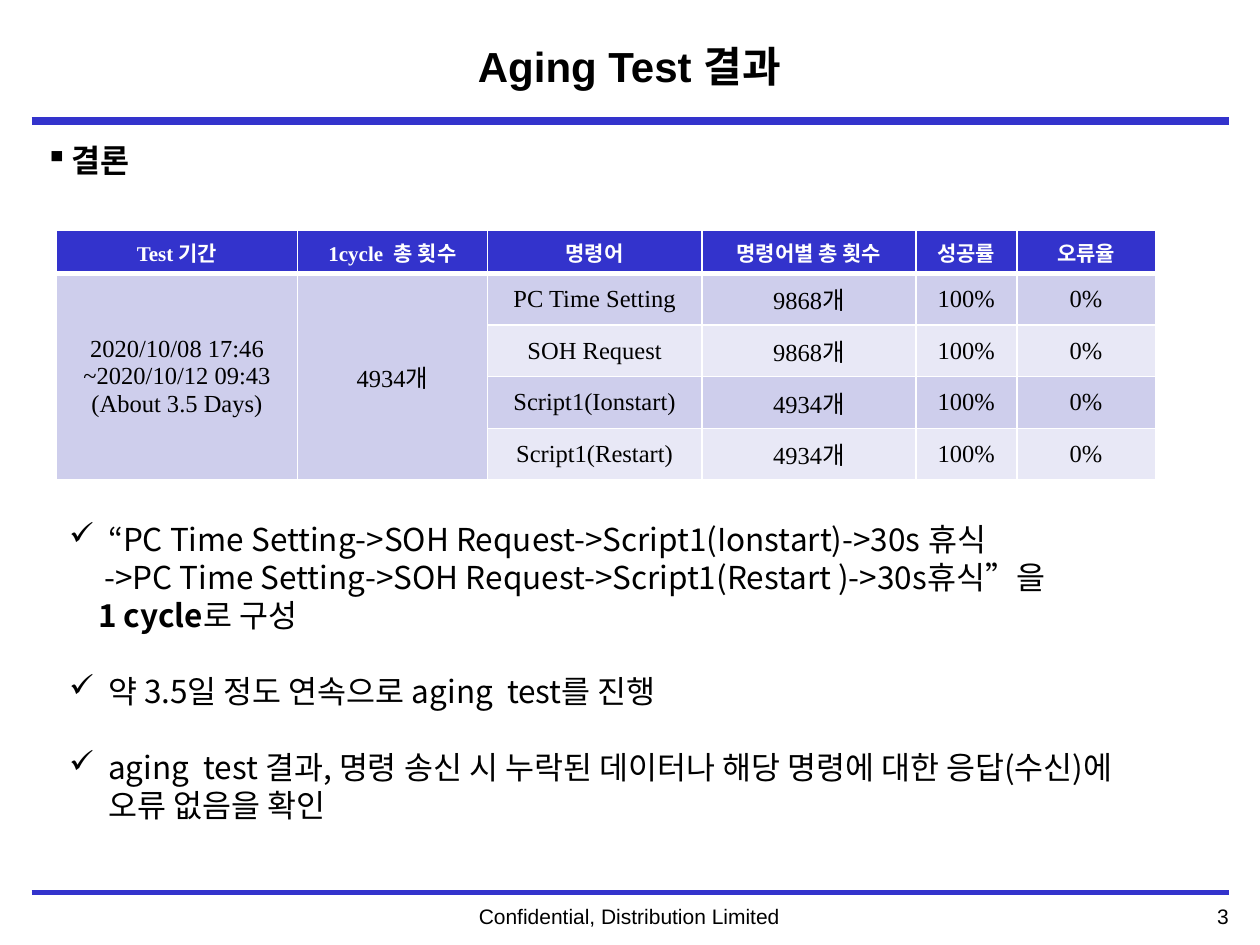
from lxml import etree
from pptx import Presentation
from pptx.dml.color import RGBColor
from pptx.enum.shapes import MSO_CONNECTOR
from pptx.enum.text import MSO_ANCHOR, PP_ALIGN
from pptx.oxml.ns import qn
from pptx.util import Inches, Pt

LEFT, CENTER, RIGHT = PP_ALIGN.LEFT, PP_ALIGN.CENTER, PP_ALIGN.RIGHT
TOP, MIDDLE = MSO_ANCHOR.TOP, MSO_ANCHOR.MIDDLE
STRAIGHT = MSO_CONNECTOR.STRAIGHT


def color(hex_code):
    return RGBColor.from_string(hex_code)


def write(paragraph, text, size=18, font="Arial", ink="000000", bold=False,
          align=LEFT, east_asian="Noto Sans CJK KR"):
    run = paragraph.add_run()
    run.text = text
    run.font.size = Pt(size)
    run.font.name = font
    run.font.bold = bold
    run.font.color.rgb = color(ink)
    etree.SubElement(run.font._element, qn("a:ea"), typeface=east_asian)
    paragraph.alignment = align


def indent(paragraph, margin, bullet=None):
    """Set the left margin; a bullet hangs in that margin."""
    properties = paragraph._p.get_or_add_pPr()
    properties.set("marL", str(Inches(margin)))
    properties.set("indent", str(Inches(-margin if bullet else 0)))
    if bullet:
        etree.SubElement(properties, qn("a:buChar"), char=bullet)


def set_borders(cell, bottom):
    """Draw white borders, 1 pt except for the bottom one."""
    properties = cell._tc.get_or_add_tcPr()
    widths = {"lnL": 1, "lnR": 1, "lnT": 1, "lnB": bottom}
    for position, (side, width) in enumerate(widths.items()):
        border = etree.Element(qn(f"a:{side}"), w=str(Pt(width)))
        fill = etree.SubElement(border, qn("a:solidFill"))
        etree.SubElement(fill, qn("a:srgbClr"), val="FFFFFF")
        properties.insert(position, border)


class ReportSlide:
    accent = "3333CC"
    bands = ("CECEEC", "E8E8F6")
    table_font = "Times New Roman"

    def __init__(self, slide):
        self.slide = slide

    def rule(self, y, width):
        line = self.slide.shapes.add_connector(
            STRAIGHT, Inches(0.25), Inches(y), Inches(9.75), Inches(y))
        line.line.color.rgb = color(self.accent)
        line.line.width = Pt(width)
        etree.SubElement(line._element.spPr, qn("a:effectLst"))

    def text_frame(self, left, top, width, height, anchor=TOP):
        box = self.slide.shapes.add_textbox(
            Inches(left), Inches(top), Inches(width), Inches(height))
        box.text_frame.word_wrap = True
        box.text_frame.vertical_anchor = anchor
        return box.text_frame

    def label(self, text, *place, anchor=TOP, bullet=None, **style):
        paragraph = self.text_frame(*place, anchor=anchor).paragraphs[0]
        if bullet:
            indent(paragraph, 0.21, bullet)
        write(paragraph, text, **style)

    def cell(self, cell, text, fill, bottom=1, **style):
        cell.fill.solid()
        cell.fill.fore_color.rgb = color(fill)
        cell.vertical_anchor = MIDDLE
        set_borders(cell, bottom)
        frame = cell.text_frame
        for number, line in enumerate(text.split("\n")):
            paragraph = frame.add_paragraph() if number else frame.paragraphs[0]
            write(paragraph, line, font=self.table_font, align=CENTER, **style)

    def results(self, left, top, widths, heights, headers, merged, rows):
        table = self.slide.shapes.add_table(
            len(heights), len(widths), Inches(left), Inches(top),
            Inches(sum(widths)), Inches(sum(heights))).table
        for column, width in zip(table.columns, widths):
            column.width = Inches(width)
        for row, height in zip(table.rows, heights):
            row.height = Inches(height)
        for column, header in enumerate(headers):
            self.cell(table.cell(0, column), header, self.accent, bottom=3,
                      size=12, ink="FFFFFF", bold=True)
        for column, text in enumerate(merged):
            table.cell(1, column).merge(table.cell(len(rows), column))
            self.cell(table.cell(1, column), text, self.bands[0], size=14)
        for number, values in enumerate(rows):
            for column, text in enumerate(values, len(merged)):
                self.cell(table.cell(number + 1, column), text,
                          self.bands[number % 2], size=14)

    def findings(self, items, *place):
        """Each item is (margin, bullet, gap before, (text, bold) runs)."""
        frame = self.text_frame(*place)
        line_height = Pt(21.7)
        for number, (margin, bullet, gap, runs) in enumerate(items):
            paragraph = frame.add_paragraph() if number else frame.paragraphs[0]
            paragraph.line_spacing = line_height
            paragraph.space_before = line_height if gap else Pt(0)
            indent(paragraph, margin, bullet)
            for text, bold in runs:
                write(paragraph, text, font="Noto Sans CJK KR", bold=bold)


def main():
    deck = Presentation()
    deck.slide_width, deck.slide_height = Inches(10), Inches(7.5)
    report = ReportSlide(deck.slides.add_slide(deck.slide_layouts[6]))

    for y, width in ((7.09, 2), (7.08, 2), (0.96, 4.5)):
        report.rule(y, width)
    report.label("3", 8.23, 7.12, 1.62, 0.3, size=12, align=RIGHT)
    report.label("Confidential, Distribution Limited", 2.45, 7.12, 5.09, 0.3,
                 size=12, align=CENTER)
    report.label("Aging Test 결과", 1.33, 0.14, 7.33, 0.77, anchor=MIDDLE,
                 size=24, bold=True, align=CENTER)
    report.label("결론", 0.26, 1.07, 0.95, 0.43, bullet="▪", bold=True)

    commands = (("PC Time Setting", "9868개"), ("SOH Request", "9868개"),
                ("Script1(Ionstart)", "4934개"), ("Script1(Restart)", "4934개"))
    report.results(
        0.45, 1.83,
        widths=(1.91, 1.51, 1.7, 1.7, 0.8, 1.1),
        heights=[0.34] + [0.41] * len(commands),
        headers=("Test 기간", "1cycle  총 횟수", "명령어", "명령어별 총 횟수",
                 "성공률", "오류율"),
        merged=("2020/10/08 17:46\n~2020/10/12 09:43\n(About 3.5 Days)", "4934개"),
        rows=[(*command, "100%", "0%") for command in commands])

    check = "✓"
    report.findings((
        (0.31, check, False,
         [("“PC Time Setting->SOH Request->Script1(Ionstart)->30s 휴식", False)]),
        (0.28, None, False,
         [("->PC Time Setting->SOH Request->Script1(Restart )->30s휴식”을", False)]),
        (0.23, None, False, [("1 cycle", True), ("로 구성", False)]),
        (0.31, check, True,
         [("약 3.5일 정도 연속으로 aging  test를 진행", False)]),
        (0.31, check, True,
         [("aging  test 결과, 명령 송신 시 누락된 데이터나 해당 명령에 대한 "
           "응답(수신)에 오류 없음을 확인", False)]),
    ), 0.45, 4.08, 8.58, 2.52)

    deck.save("out.pptx")


if __name__ == "__main__":
    main()
